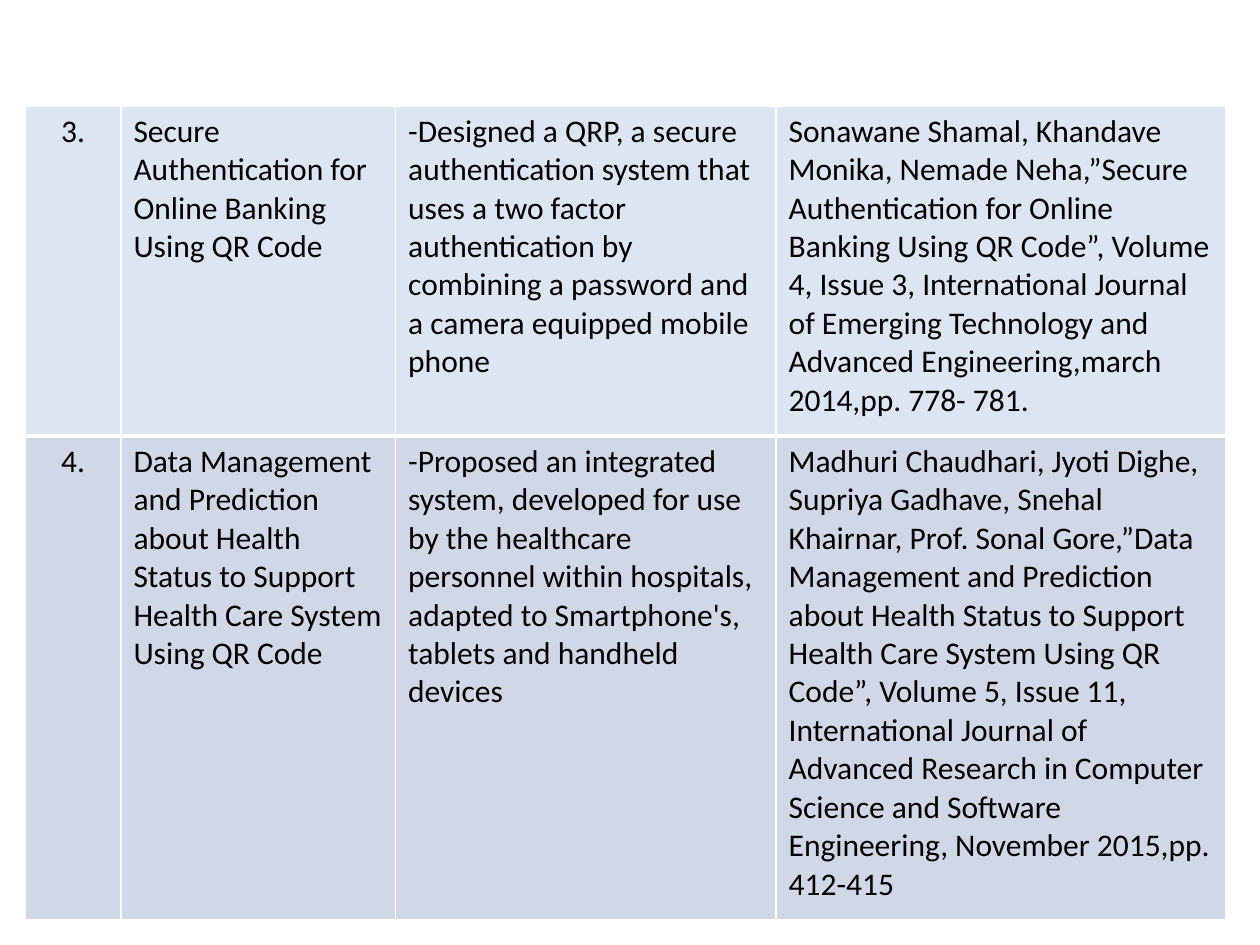
"""Build a literature survey slide with one table of two papers."""
from lxml import etree
from pptx import Presentation
from pptx.dml.color import RGBColor
from pptx.enum.text import PP_ALIGN
from pptx.oxml.ns import qn
from pptx.util import Inches, Pt

LEFT, CENTER = PP_ALIGN.LEFT, PP_ALIGN.CENTER
COLORS = {"text": "000000", "border": "FFFFFF", "light": "DCE6F2", "dark": "D0D8E8"}
COLUMN_WIDTHS = [0.76, 2.18, 3.02, 3.57]
ROW_HEIGHTS = [2.62, 3.84]
ROW_FILLS = ["light", "dark"]
BOTTOM_BORDERS = [3, 1]
PAPERS = [
    (
        "3.",
        "Secure Authentication for Online Banking Using QR Code",
        "-Designed a QRP, a secure authentication system that uses a two factor "
        "authentication by combining a password and a camera equipped mobile phone",
        "Sonawane Shamal, Khandave Monika, Nemade Neha,”Secure Authentication for "
        "Online Banking Using QR Code”, Volume 4, Issue 3, International Journal of "
        "Emerging Technology and Advanced Engineering,march 2014,pp. 778- 781.",
    ),
    (
        "4.",
        "Data Management and Prediction about Health Status to Support Health Care "
        "System Using QR Code",
        "-Proposed an integrated system, developed for use by the healthcare personnel "
        "within hospitals, adapted to Smartphone's, tablets and handheld devices",
        "Madhuri Chaudhari, Jyoti Dighe, Supriya Gadhave, Snehal Khairnar, Prof. Sonal "
        "Gore,”Data Management and Prediction about Health Status to Support Health "
        "Care System Using QR Code”, Volume 5, Issue 11, International Journal of "
        "Advanced Research in Computer Science and Software Engineering, November "
        "2015,pp. 412-415",
    ),
]


def write_text(frame, text, *, size=18, font="Calibri", color="text", align=LEFT):
    para = frame.paragraphs[0]
    para.alignment = align
    span = para.add_run()
    span.text = text
    span.font.size = Pt(size)
    span.font.name = font
    span.font.color.rgb = RGBColor.from_string(COLORS[color])


def draw_borders(cell, bottom):
    properties = cell._tc.get_or_add_tcPr()
    for side, width in {"lnL": 1, "lnR": 1, "lnT": 1, "lnB": bottom}.items():
        line = etree.SubElement(properties, qn(f"a:{side}"), w=str(Pt(width)))
        fill = etree.SubElement(line, qn("a:solidFill"))
        etree.SubElement(fill, qn("a:srgbClr"), val=COLORS["border"])


deck = Presentation()
deck.slide_width, deck.slide_height = Inches(10), Inches(7.5)
page = deck.slides.add_slide(deck.slide_layouts[6])

table = page.shapes.add_table(
    len(ROW_HEIGHTS), len(COLUMN_WIDTHS), Inches(0.2), Inches(0.84),
    Inches(sum(COLUMN_WIDTHS)), Inches(sum(ROW_HEIGHTS)),
).table
table.first_row = False
table.horz_banding = False
for column, width in zip(table.columns, COLUMN_WIDTHS):
    column.width = Inches(width)

for row, height, paper, shade, bottom in zip(
    table.rows, ROW_HEIGHTS, PAPERS, ROW_FILLS, BOTTOM_BORDERS
):
    row.height = Inches(height)
    for index, (cell, text) in enumerate(zip(row.cells, paper)):
        draw_borders(cell, bottom)
        cell.fill.solid()
        cell.fill.fore_color.rgb = RGBColor.from_string(COLORS[shade])
        write_text(cell.text_frame, text, align=LEFT if index else CENTER)

deck.save("out.pptx")
